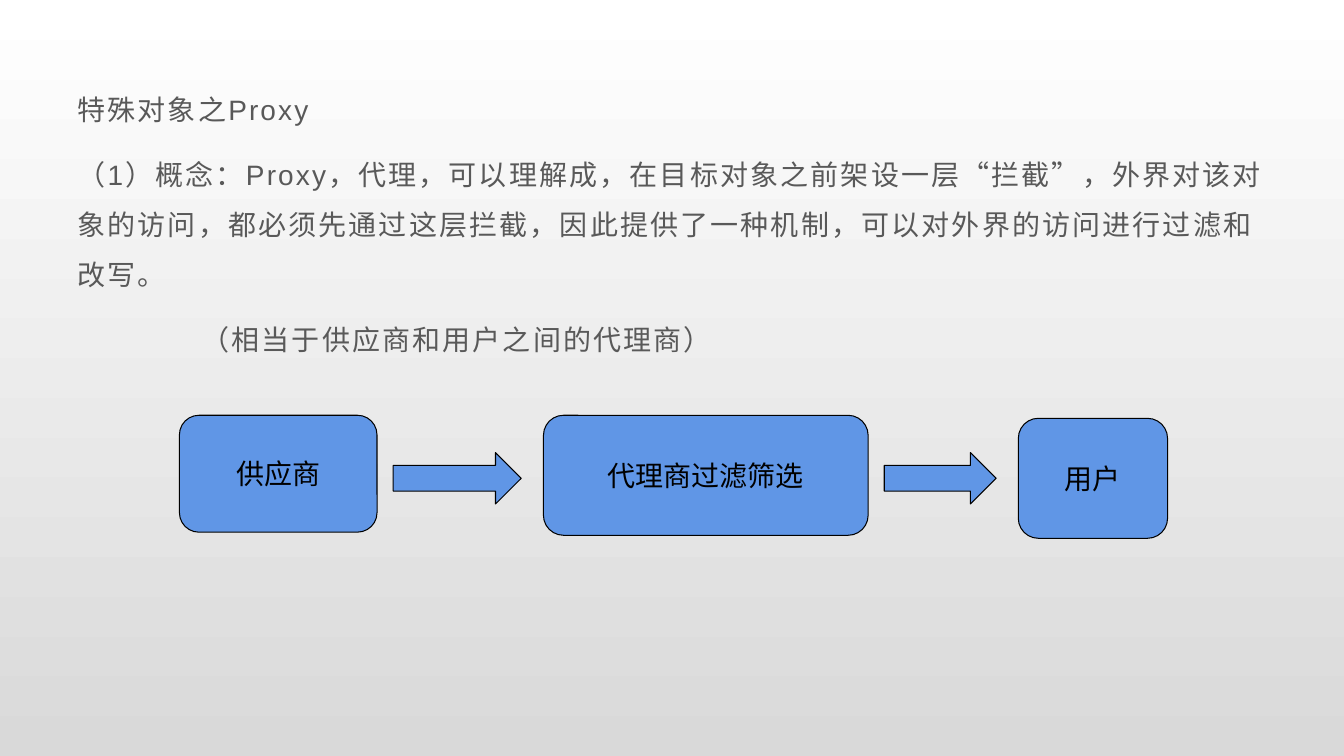
from pptx import Presentation
from pptx.dml.color import RGBColor
from pptx.enum.shapes import MSO_SHAPE
from pptx.enum.text import MSO_ANCHOR, PP_ALIGN
from pptx.util import Inches, Pt

ROUND, ARROW = MSO_SHAPE.ROUNDED_RECTANGLE, MSO_SHAPE.RIGHT_ARROW
LEFT, CENTER = PP_ALIGN.LEFT, PP_ALIGN.CENTER
TOP, MIDDLE = MSO_ANCHOR.TOP, MSO_ANCHOR.MIDDLE
WHITE = RGBColor(0xFF, 0xFF, 0xFF)
SILVER = RGBColor(0xD9, 0xD9, 0xD9)
GRAY = RGBColor(0x59, 0x59, 0x59)
BLUE = RGBColor(0x60, 0x96, 0xE6)
BLACK = RGBColor(0, 0, 0)

# text, line spacing, left indent
BODY = [
    ("特殊对象之Proxy", 1.3, 0),
    ("（1）概念：Proxy，代理，可以理解成，在目标对象之前架设一层“拦截”，"
     "外界对该对象的访问，都必须先通过这层拦截，因此提供了一种机制，"
     "可以对外界的访问进行过滤和改写。", 1.5, 0),
    ("（相当于供应商和用户之间的代理商）", 1.5, 1.23),
]
# text, left, top, width, height
BOXES = [
    ("供应商", 1.78, 4.12, 1.96, 1.16),
    ("代理商过滤筛选", 5.39, 4.12, 3.22, 1.19),
    ("用户", 10.1, 4.15, 1.48, 1.19),
]
ARROW_TOP, ARROW_HEIGHT = 4.49, 0.51
GAP_BEFORE, GAP_AFTER = 0.16, 0.22


def write(frame, lines, color=BLACK, align=CENTER, anchor=MIDDLE,
          after=0, track=0):
    """Fill a frame with lines of (text, line spacing, left indent)."""
    frame.word_wrap = True
    frame.vertical_anchor = anchor
    for i, (text, spacing, indent) in enumerate(lines):
        para = frame.add_paragraph() if i else frame.paragraphs[0]
        para.alignment = align
        para.line_spacing = spacing
        para.space_after = Pt(after)
        if indent:
            props = para._p.get_or_add_pPr()
            props.set("marL", str(Inches(indent)))
            props.set("indent", "0")
        run = para.add_run()
        run.text = text
        run.font.name = "Arial"
        run.font.size = Pt(20)
        run.font.color.rgb = color
        if track:
            run._r.get_or_add_rPr().set("spc", str(int(track * 100)))


def draw(slide, kind, *place):
    shape = slide.shapes.add_shape(kind, *map(Inches, place))
    shape.shadow.inherit = False
    shape.fill.solid()
    shape.fill.fore_color.rgb = BLUE
    shape.line.color.rgb = BLACK
    shape.line.width = Pt(0.75)
    return shape


def main():
    deck = Presentation()
    deck.slide_width, deck.slide_height = Inches(13.33), Inches(7.5)
    slide = deck.slides.add_slide(deck.slide_layouts[6])

    back = slide.background.fill
    back.gradient()
    back.gradient_angle = 270
    for stop, color in zip(back.gradient_stops, (WHITE, SILVER)):
        stop.color.rgb = color

    body = slide.shapes.add_textbox(*map(Inches, (0.67, 0.77, 12, 6.27)))
    write(body.text_frame, BODY, color=GRAY, align=LEFT, anchor=TOP,
          after=10, track=1.5)

    for text, *place in BOXES:
        box = draw(slide, ROUND, *place)
        write(box.text_frame, [(text, 1.0, 0)])

    for (_, left, _, width, _), (_, end, *_) in zip(BOXES, BOXES[1:]):
        start = left + width + GAP_BEFORE
        draw(slide, ARROW, start, ARROW_TOP,
             end - GAP_AFTER - start, ARROW_HEIGHT)

    deck.save("out.pptx")


if __name__ == "__main__":
    main()
